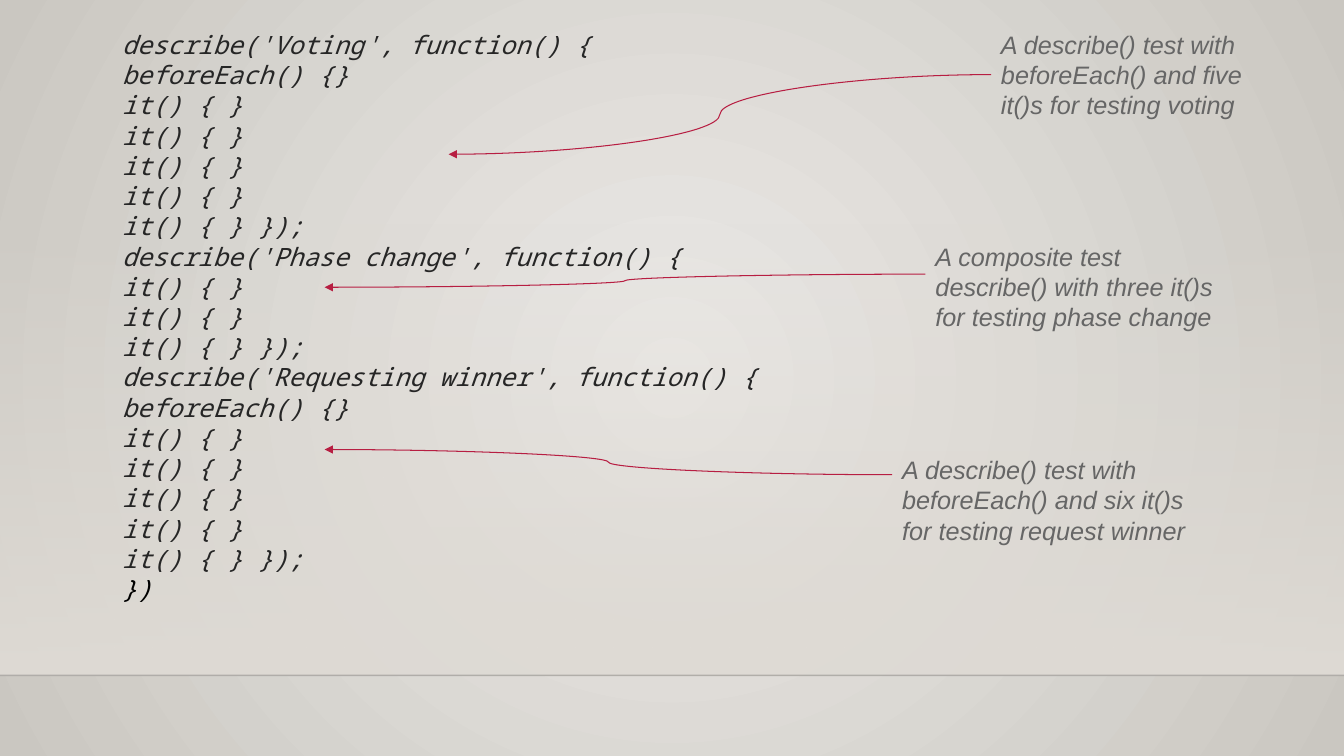
from pptx import Presentation
from pptx.dml.color import RGBColor
from pptx.enum import shapes, text
from pptx.oxml import ns
from pptx.oxml.xmlchemy import OxmlElement
from pptx.util import Inches, Pt

LIGHT = RGBColor(0xEC, 0xEA, 0xE7)
DARK = RGBColor(0xCA, 0xC7, 0xC1)
WALL = RGBColor(0xDF, 0xDB, 0xD5)
EDGE = RGBColor(0x00, 0x00, 0x01)
CODE = RGBColor(0x26, 0x26, 0x26)
BLACK = RGBColor(0x00, 0x00, 0x00)
NOTE = RGBColor(0x66, 0x66, 0x66)
ACCENT = RGBColor(0xB7, 0x1E, 0x42)

WIDTH, HEIGHT = 13.33, 7.5
FLOOR_TOP = 6.7


def add_child(parent, tag, **attrs):
    """Append a DrawingML element and return it."""
    child = OxmlElement(tag)
    for name, value in attrs.items():
        child.set(name, str(value))
    parent.append(child)
    return child


def fill_gradient(fill, first, last):
    """Apply a two-stop gradient."""
    fill.gradient()
    for stop, position, color in zip(fill.gradient_stops, (0, 1), (first, last)):
        stop.position = position
        stop.color.rgb = color


def set_alpha(shape, *percents):
    """Set the opacity of the shape's colours, in order."""
    colors = shape._element.spPr.iter(ns.qn("a:srgbClr"))
    for color, percent in zip(colors, percents):
        add_child(color, "a:alpha", val=percent * 1000)


def add_line(s, kind, start, end, color, width):
    """Draw a shadowless connector between two points."""
    line = s.shapes.add_connector(kind, *map(Inches, start + end))
    line.line.color.rgb = color
    line.line.width = Pt(width)
    add_child(line._element.spPr, "a:effectLst")
    return line


def add_backdrop(s, left, top, width, height):
    """Paint the radial background, the wall glow and the floor edge."""
    fill_gradient(s.background.fill, LIGHT, DARK)
    grad = next(s._element.iter(ns.qn("a:gradFill")))
    grad.remove(grad.find(ns.qn("a:lin")))
    circle = add_child(grad, "a:path", path="circle")
    add_child(circle, "a:fillToRect", l=50000, t=50000, r=50000, b=50000)

    wall = s.shapes.add_shape(shapes.MSO_SHAPE.RECTANGLE, Inches(left),
                              Inches(top), Inches(width), Inches(height))
    wall.shadow.inherit = False
    wall.line.fill.background()
    fill_gradient(wall.fill, WALL, WALL)
    wall.fill.gradient_angle = 270
    set_alpha(wall, 0, 100)

    bottom = top + height
    edge = add_line(s, shapes.MSO_CONNECTOR.STRAIGHT, (left, bottom),
                    (left + width, bottom), EDGE, 1)
    set_alpha(edge, 20)


def add_text(s, box, lines, font, color):
    """Write italic lines, one paragraph each, and return the text frame."""
    tf = s.shapes.add_textbox(*map(Inches, box)).text_frame
    tf.word_wrap = True
    tf.auto_size = text.MSO_AUTO_SIZE.SHAPE_TO_FIT_TEXT
    tf.text = "\n".join(lines)
    for p in tf.paragraphs:
        p.font.name = font
        p.font.size = Pt(18)
        p.font.italic = True
        p.font.color.rgb = color
    return tf


def suite(title, tests, setup=False):
    """Return the code lines of one describe() block."""
    head = [f"describe('{title}', function() {{"]
    before = ["beforeEach() {}"] if setup else []
    return head + before + ["it() { }"] * (tests - 1) + ["it() { } });"]


def add_code(s, box):
    """Write the three test suites and the closing bracket."""
    lines = (suite("Voting", 5, setup=True) + suite("Phase change", 3)
             + suite("Requesting winner", 5, setup=True) + ["})"])
    tf = add_text(s, box, lines, "Noto Sans Mono", CODE)
    tf.paragraphs[-1].font.color.rgb = BLACK


def add_callout(s, box, lines, drop, target):
    """Write a note and curve an arrow from its left side to the code."""
    add_text(s, box, lines, "Arial", NOTE)
    left, top = box[:2]
    arrow = add_line(s, shapes.MSO_CONNECTOR.CURVE, (left, top + drop),
                     target, ACCENT, 0.75)
    add_child(arrow.line._get_or_add_ln(), "a:tailEnd", type="triangle")


CALLOUTS = [
    ((9.83, 0.24, 3.07, 1.01),
     ["A describe() test with", "beforeEach() and five",
      "it()s for testing voting"], 0.5, (4.45, 1.53)),
    ((9.18, 2.34, 3.72, 1.01),
     ["A composite test", "describe() with three it()s",
      "for testing phase change"], 0.38, (3.22, 2.85)),
    ((8.85, 4.46, 3.6, 1.01),
     ["A describe() test with", "beforeEach() and six it()s",
      "for testing request winner"], 0.25, (3.22, 4.46)),
]

prs = Presentation()
prs.slide_width, prs.slide_height = Inches(WIDTH), Inches(HEIGHT)
s = prs.slides.add_slide(prs.slide_layouts[6])
add_backdrop(s, 0, 2.21, WIDTH, FLOOR_TOP - 2.21)
add_code(s, (1.11, 0.24, 6.67, 5.86))
for callout in CALLOUTS:
    add_callout(s, *callout)
prs.save("out.pptx")
